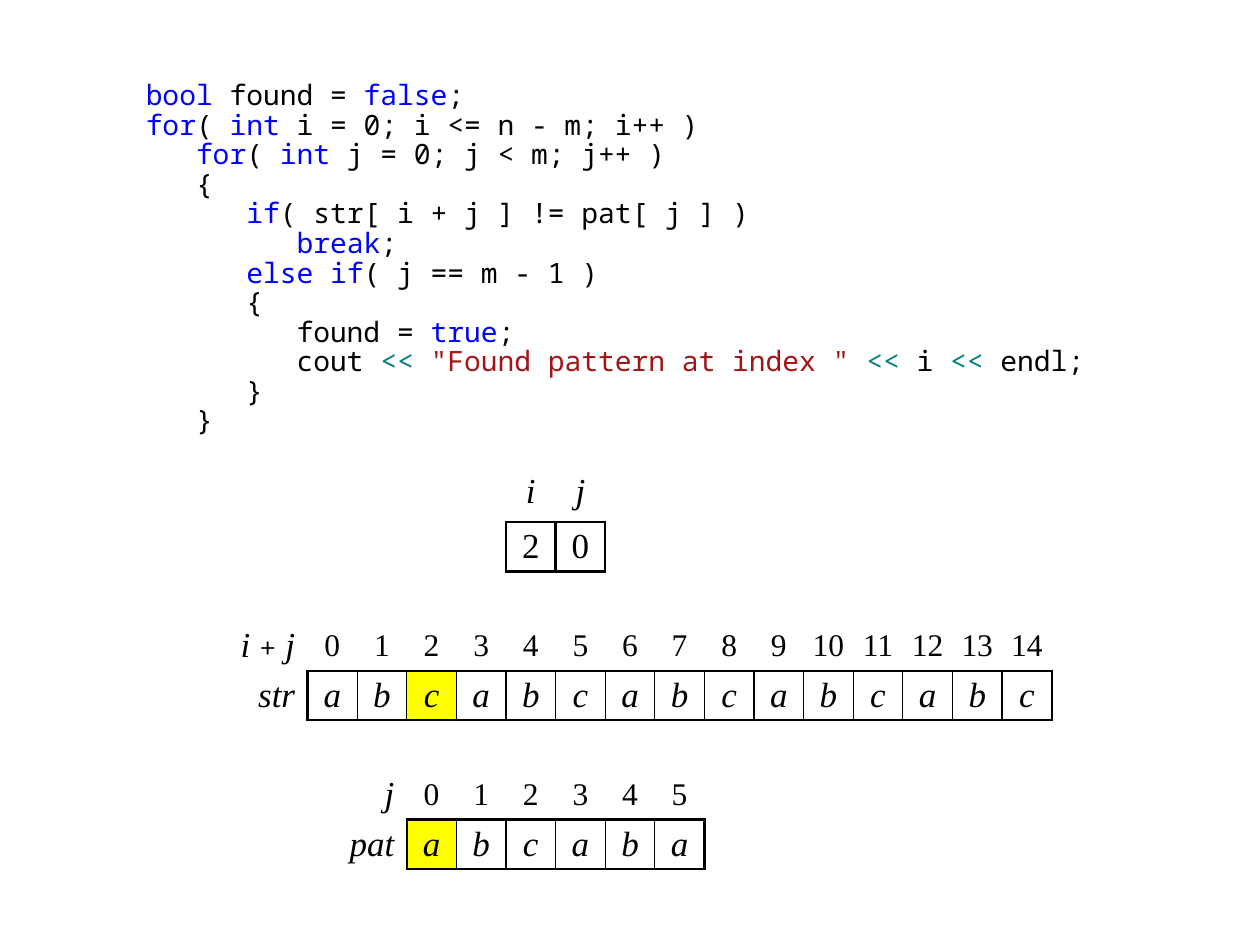
from dataclasses import dataclass

from lxml import etree
from pptx import Presentation
from pptx import util as u
from pptx.dml.color import RGBColor
from pptx.enum import text as t
from pptx.oxml.ns import qn

PX = 3600  # one px is a tenth of a millimetre
STEP = 100  # side of a square cell


@dataclass(frozen=True)
class Theme:
    ink: str = "000000"
    key: str = "0000FF"
    sign: str = "008080"
    quote: str = "A31515"
    paper: str = "FFFFFF"
    mark: str = "FFFF00"
    mono: str = "Noto Sans Mono"
    serif: str = "Times New Roman"
    math: str = "Cambria"
    code: int = 16
    small: int = 18
    large: int = 20
    thick: float = 1.5
    thin: float = 0.75


T = Theme()


@dataclass(frozen=True)
class Run:
    text: str
    color: str = T.ink
    font: str = T.mono
    size: int = T.code
    slant: bool = False


@dataclass(frozen=True)
class Grid:
    left: int
    top: int
    heads: list[Run]
    body: list[Run]
    labels: tuple[list[Run], list[Run]] | None = None
    side: int = 0  # width of the label column
    mark: int = -1  # index of the lit cell
    inner: float = T.thin
    inset: int = 10
    anchor: t.MSO_ANCHOR = t.MSO_ANCHOR.MIDDLE


def px(n: int) -> u.Emu:
    return u.Emu(n * PX)


def key(text: str) -> Run:
    return Run(text, T.key)


def var(text: str) -> Run:
    return Run(text, font=T.serif, size=T.large, slant=True)


def num(value: int, size: int = T.small) -> Run:
    return Run(str(value), font=T.serif, size=size)


def write(para, runs: list[Run]) -> None:
    for item in runs:
        run = para.add_run()
        run.text = item.text
        run.font.name, run.font.size = item.font, u.Pt(item.size)
        run.font.italic = item.slant
        run.font.color.rgb = RGBColor.from_string(item.color)


def edge(cell, left: float, right: float, top: float, base: float) -> None:
    """Set the four border widths of a cell; zero means no line."""
    props = cell._tc.get_or_add_tcPr()
    sides = {"L": left, "R": right, "T": top, "B": base}
    for spot, (side, width) in enumerate(sides.items()):
        line = etree.Element(qn(f"a:ln{side}"), w=str(int(u.Pt(width))))
        if width:
            fill = etree.SubElement(line, qn("a:solidFill"))
            etree.SubElement(fill, qn("a:srgbClr"), val=T.ink)
        else:
            etree.SubElement(line, qn("a:noFill"))
        props.insert(spot, line)


def put(cell, runs: list[Run], inset: int, align, anchor, fill: str = "") -> None:
    cell.margin_left = cell.margin_right = px(inset)
    cell.margin_top = cell.margin_bottom = 0
    cell.vertical_anchor = anchor
    if fill:
        cell.fill.solid()
        cell.fill.fore_color.rgb = RGBColor.from_string(fill)
    else:
        cell.fill.background()
    para = cell.text_frame.paragraphs[0]
    para.alignment = align
    write(para, runs)


def draw_grid(slide, grid: Grid) -> None:
    count = len(grid.body)
    skip = 1 if grid.labels else 0
    wide = grid.side + count * STEP
    table = slide.shapes.add_table(2, count + skip, px(grid.left), px(grid.top),
                                   px(wide), px(2 * STEP)).table
    table.first_row = table.horz_banding = False
    for row in table.rows:
        row.height = px(STEP)
    for col in table.columns:
        col.width = px(STEP)

    # Label column
    if grid.labels:
        table.columns[0].width = px(grid.side)
        for row, runs in enumerate(grid.labels):
            cell = table.cell(row, 0)
            put(cell, runs, 25, t.PP_ALIGN.RIGHT, t.MSO_ANCHOR.MIDDLE)
            edge(cell, 0, T.thick * row, 0, 0)

    # Index row above the boxed row
    for i, (head, item) in enumerate(zip(grid.heads, grid.body)):
        above, cell = (table.cell(row, i + skip) for row in (0, 1))
        put(above, [head], grid.inset, t.PP_ALIGN.CENTER, grid.anchor)
        edge(above, 0, 0, 0, T.thick)
        put(cell, [item], grid.inset, t.PP_ALIGN.CENTER, t.MSO_ANCHOR.MIDDLE,
            T.mark if i == grid.mark else T.paper)
        edge(cell, T.thick if i == 0 else grid.inner,
             T.thick if i == count - 1 else grid.inner, T.thick, T.thick)


def draw_code(slide, lines: list[list[Run]]) -> None:
    frame = slide.shapes.add_textbox(px(269), px(153), px(1951), px(851)).text_frame
    frame.word_wrap = False
    for i, runs in enumerate(lines):
        para = frame.add_paragraph() if i else frame.paragraphs[0]
        para.line_spacing = 0.88
        write(para, runs)


CODE = [
    [key("bool "), Run("found = "), key("false"), Run(";")],
    [key("for"), Run("( "), key("int"), Run(" i = 0; i <= n - m; i++ )")],
    [Run("   "), key("for"), Run("( "), key("int"), Run(" j = 0; j < m; j++ )")],
    [Run("   {")],
    [Run("      "), key("if"), Run("( str[ i + j ] != pat[ j ] )")],
    [Run("         "), key("break"), Run(";")],
    [Run("      "), key("else if"), Run("( j == m - 1 )")],
    [Run("      {")],
    [Run("         found = "), key("true"), Run(";")],
    [Run("         cout "), Run("<< ", T.sign),
     Run('"Found pattern at index " ', T.quote), Run("<<", T.sign),
     Run(" i "), Run("<<", T.sign), Run(" endl;")],
    [Run("      }")],
    [Run("   }")],
]

SUM = [var("i "), Run("+", font=T.math, size=T.small),
       Run(" ", font=T.serif, size=T.large), var("j")]
STR, PAT = "abc" * 5, "abcaba"

GRIDS = [
    Grid(420, 1252, [num(i) for i in range(len(STR))], [var(c) for c in STR],
         (SUM, [var("str")]), side=200, mark=2),
    Grid(1020, 952, [var("i"), var("j")], [num(2, T.large), num(0, T.large)],
         inner=T.thick, inset=0, anchor=t.MSO_ANCHOR.TOP),
    Grid(670, 1552, [num(i) for i in range(len(PAT))], [var(c) for c in PAT],
         ([var("j")], [var("pat")]), side=150, mark=0),
]


def main() -> None:
    deck = Presentation()
    deck.slide_width, deck.slide_height = px(2540), px(1905)
    slide = deck.slides.add_slide(deck.slide_layouts[6])
    draw_code(slide, CODE)
    for grid in GRIDS:
        draw_grid(slide, grid)
    deck.save("out.pptx")


if __name__ == "__main__":
    main()
